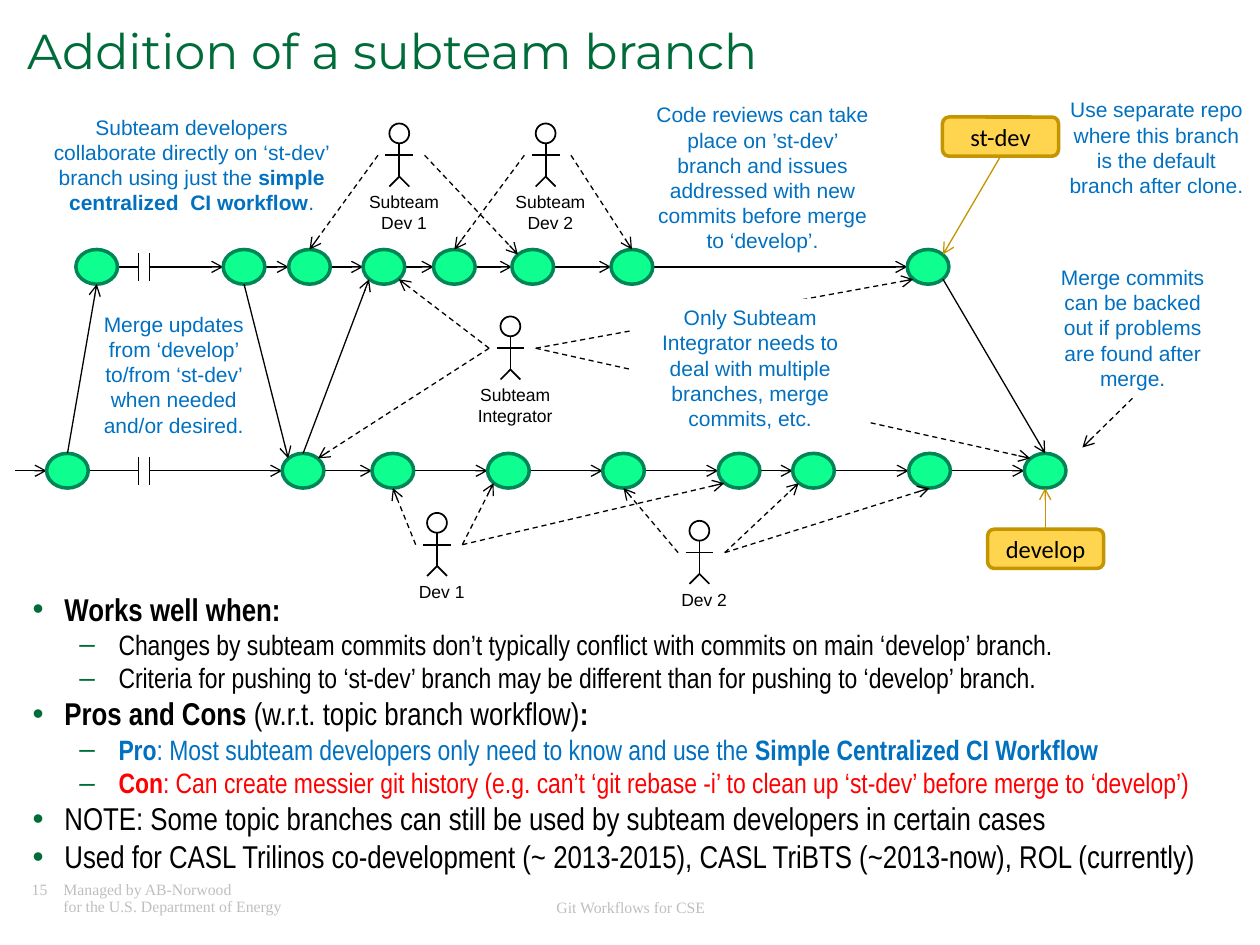
from dataclasses import dataclass
from itertools import pairwise

from lxml import etree
from pptx import Presentation
from pptx.dml.color import RGBColor
from pptx.enum.dml import MSO_LINE
from pptx.enum.shapes import MSO_CONNECTOR, MSO_SHAPE
from pptx.enum.text import MSO_ANCHOR, PP_ALIGN
from pptx.oxml.ns import qn
from pptx.util import Cm, Pt

STRAIGHT, DASH = MSO_CONNECTOR.STRAIGHT, MSO_LINE.DASH
OVAL, ROUNDED, RECTANGLE = MSO_SHAPE.OVAL, MSO_SHAPE.ROUNDED_RECTANGLE, MSO_SHAPE.RECTANGLE
LEFT, CENTER = PP_ALIGN.LEFT, PP_ALIGN.CENTER
TOP, MIDDLE = MSO_ANCHOR.TOP, MSO_ANCHOR.MIDDLE

COLORS = {
    "black": "000000", "white": "FFFFFF", "blue": "0070C0", "red": "FF0000",
    "green": "006C3A", "gray": "BFBFBF", "commit": "0EFF8F",
    "commit_edge": "008557", "label": "FFD54F", "label_edge": "C49500",
}
Point = tuple[float, float]
Box = tuple[float, float, float, float]


@dataclass(frozen=True)
class Run:
    text: str
    bold: bool = False
    color: str = "black"


@dataclass(frozen=True)
class Style:
    font: str
    size: float
    align: PP_ALIGN = CENTER


@dataclass(frozen=True)
class Commit:
    x: float
    y: float

    def at(self, horizontal: int, vertical: int) -> Point:
        """Connection point on the edge; -1, 0 or 1 on each axis."""
        diagonal = horizontal and vertical
        across, down = (0.3, 0.25) if diagonal else (0.42, 0.35)
        return self.x + horizontal * across, self.y + vertical * down


@dataclass(frozen=True)
class Person:
    x: float
    top: float
    names: tuple[str, ...]

    def hand(self, side: int) -> Point:
        return self.x + (0.51 if side > 0 else -0.43), self.top + 0.64


@dataclass(frozen=True)
class Bullet:
    level: int
    runs: tuple[Run, ...]


CALLOUT = Style("Arial", 12)
PERSON_NAME = Style("Arial", 10)
BRANCH = Style("Calibri", 14)
FOOTER = Style("Times New Roman", 9)
BULLET_STYLES = (Style("Arial Narrow", 18, LEFT), Style("Arial Narrow", 16, LEFT))
BULLET_MARKS = (("•", 0.64, -0.64), ("–", 1.73, -0.79))

ST_DEV = [Commit(x, 5.38) for x in (1.95, 4.92, 6.24, 7.74, 9.16, 10.74, 12.74, 18.71)]
DEVELOP = [Commit(x, 9.49) for x in
           (1.36, 6.11, 7.92, 10.25, 12.57, 14.9, 16.4, 18.74, 21.07)]
BREAK_X = (2.79, 3.02)

PEOPLE = (
    Person(8.05, 2.49, ("Subteam", "Dev 1")),
    Person(11, 2.49, ("Subteam", "Dev 2")),
    Person(10.29, 6.38, ("Subteam", "Integrator")),
    Person(8.81, 10.34, ("Dev 1",)),
    Person(14.1, 10.5, ("Dev 2",)),
)
SUB_1, SUB_2, INTEGRATOR, DEV_1, DEV_2 = PEOPLE

MERGES = (
    (DEVELOP[0].at(0, -1), ST_DEV[0].at(0, 1)),
    (ST_DEV[1].at(0, 1), DEVELOP[1].at(-1, -1)),
    (DEVELOP[1].at(0, -1), ST_DEV[3].at(-1, 1)),
    (ST_DEV[7].at(1, 1), DEVELOP[8].at(0, -1)),
)
PUSHES = (
    (SUB_1.hand(-1), ST_DEV[2].at(0, -1)),
    (SUB_1.hand(1), ST_DEV[5].at(-1, -1)),
    (SUB_2.hand(-1), ST_DEV[4].at(0, -1)),
    (SUB_2.hand(1), ST_DEV[6].at(0, -1)),
    (INTEGRATOR.hand(-1), ST_DEV[3].at(1, 1)),
    (INTEGRATOR.hand(-1), DEVELOP[1].at(1, -1)),
    (INTEGRATOR.hand(1), ST_DEV[7].at(-1, 1)),
    (INTEGRATOR.hand(1), DEVELOP[8].at(-1, -1)),
    (DEV_1.hand(-1), DEVELOP[2].at(0, 1)),
    (DEV_1.hand(1), DEVELOP[3].at(-1, 1)),
    (DEV_1.hand(1), DEVELOP[5].at(-1, 1)),
    (DEV_2.hand(-1), DEVELOP[4].at(0, 1)),
    (DEV_2.hand(1), DEVELOP[6].at(-1, 1)),
    (DEV_2.hand(1), DEVELOP[7].at(0, 1)),
    ((22.83, 8.03), (21.82, 9.02)),
)
INTEGRATOR_NOTE = "Only Subteam Integrator needs to deal with multiple branches, merge commits, etc."
CALLOUTS = (
    ((0.79, 2.18, 6.15, 2.31), (
        Run("Subteam developers collaborate directly on ‘st-dev’ branch using just the ", color="blue"),
        Run("simple centralized  CI workflow", True, "blue"), Run(".", color="blue"))),
    ((12.95, 1.93, 4.85, 3.33), (Run("Code reviews can take place on ’st-dev’ branch and issues "
     "addressed with new commits before merge to ‘develop’.", color="blue"),)),
    ((20.88, 5.21, 3.91, 2.82), (Run(
        "Merge commits can be backed out if problems are found after merge.", color="blue"),)),
    ((1.7, 6.15, 3.61, 2.82), (Run(
        "Merge updates from ‘develop’ to/from ‘st-dev’ when needed and/or desired.", color="blue"),)),
    ((21.23, 1.83, 4.17, 2.31), (Run(
        "Use separate repo where this branch is the default branch after clone.", color="blue"),)),
)
BULLETS = (
    Bullet(0, (Run("Works well when:", True),)),
    Bullet(1, (Run("Changes by subteam commits don’t typically conflict with commits on main ‘develop’ branch."),)),
    Bullet(1, (Run("Criteria for pushing to ‘st-dev’ branch may be different than for pushing to ‘develop’ branch."),)),
    Bullet(0, (Run("Pros and Cons", True), Run(" (w.r.t. topic branch workflow)"), Run(":", True))),
    Bullet(1, (Run("Pro", True, "blue"),
               Run(": Most subteam developers only need to know and use the ", color="blue"),
               Run("Simple Centralized CI Workflow", True, "blue"))),
    Bullet(1, (Run("Con", True, "red"), Run(": Can create messier git history (e.g. can’t ‘git rebase -i’ "
               "to clean up ‘st-dev’ before merge to ‘develop’)", color="red"))),
    Bullet(0, (Run("NOTE: Some topic branches can still be used by subteam developers in certain cases"),)),
    Bullet(0, (Run("Used for CASL Trilinos co-development (~ 2013-2015), CASL TriBTS (~2013-now), ROL (currently)"),)),
)


def rgb(name: str) -> RGBColor:
    return RGBColor.from_string(COLORS[name])


def write(paragraph, runs: tuple[Run, ...], style: Style) -> None:
    paragraph.alignment = style.align
    for item in runs:
        run = paragraph.add_run()
        run.text = item.text
        run.font.name, run.font.size, run.font.bold = style.font, Pt(style.size), item.bold
        run.font.color.rgb = rgb(item.color)


def add_text(slide, box: Box, lines: tuple, style: Style):
    frame = slide.shapes.add_textbox(*map(Cm, box)).text_frame
    frame.word_wrap = True
    for index, runs in enumerate(lines):
        write(frame.add_paragraph() if index else frame.paragraphs[0], runs, style)
    return frame


def add_shape(slide, kind, box: Box, fill: str = "", edge: str = "", width: float = 2):
    shape = slide.shapes.add_shape(kind, *map(Cm, box))
    shape.shadow.inherit = False
    for part, color in ((shape.fill, fill), (shape.line.fill, edge)):
        if color:
            part.solid()
            part.fore_color.rgb = rgb(color)
        else:
            part.background()
    if edge:
        shape.line.width = Pt(width)
    return shape


def add_line(slide, start: Point, end: Point, color: str = "black", width: float = 0.75,
             arrow: bool = False, dashed: bool = False) -> None:
    connector = slide.shapes.add_connector(STRAIGHT, *map(Cm, start + end))
    connector.line.color.rgb = rgb(color)
    connector.line.width = Pt(width)
    if dashed:
        connector.line.dash_style = DASH
    properties = connector._element.spPr
    if arrow:
        etree.SubElement(properties.find(qn("a:ln")), qn("a:tailEnd"), type="arrow")
    etree.SubElement(properties, qn("a:effectLst"))


def add_branch(slide, commits: list[Commit]) -> None:
    y = commits[0].y
    for x in BREAK_X:
        add_line(slide, (x, y - 0.28), (x, y + 0.28))
    add_line(slide, commits[0].at(1, 0), (BREAK_X[0], y))
    add_line(slide, (BREAK_X[1], y), commits[1].at(-1, 0), arrow=True)
    for before, after in pairwise(commits[1:]):
        add_line(slide, before.at(1, 0), after.at(-1, 0), arrow=True)
    for commit in commits:
        add_shape(slide, OVAL, (commit.x - 0.42, y - 0.35, 0.84, 0.7), "commit", "commit_edge")


def add_person(slide, person: Person) -> None:
    x, top = person.x, person.top
    add_shape(slide, OVAL, (x - 0.2, top, 0.4, 0.4), edge="black", width=1)
    hip = (x, top + 1.07)
    limbs = [((x, top + 0.4), hip), ((x - 0.28, top + 0.64), (x + 0.28, top + 0.64))]
    limbs += [(hip, (x + side * 0.2, top + 1.27)) for side in (-1, 1)]
    for start, end in limbs:
        add_line(slide, start, end, width=1)
    add_text(slide, (x - 2.1, top + 1.24, 4.39, 0.26 + 0.43 * len(person.names)),
             tuple((Run(name),) for name in person.names), PERSON_NAME)


def add_branch_label(slide, name: str, left: float, top: float, start: Point, end: Point) -> None:
    shape = add_shape(slide, ROUNDED, (left, top, 2.34, 0.79), "label", "label_edge")
    shape.text_frame.vertical_anchor = MIDDLE
    write(shape.text_frame.paragraphs[0], (Run(name),), BRANCH)
    add_line(slide, start, end, "label_edge", arrow=True)


def add_bullets(slide) -> None:
    frame = add_text(slide, (0.41, 11.76, 24.71, 6.07), (), BULLET_STYLES[0])
    for index, bullet in enumerate(BULLETS):
        paragraph = frame.add_paragraph() if index else frame.paragraphs[0]
        write(paragraph, bullet.runs, BULLET_STYLES[bullet.level])
        paragraph.level = bullet.level
        mark, margin, indent = BULLET_MARKS[bullet.level]
        properties = paragraph._p.get_or_add_pPr()
        properties.set("marL", str(Cm(margin)))
        properties.set("indent", str(Cm(indent)))
        color = etree.SubElement(properties, qn("a:buClr"))
        etree.SubElement(color, qn("a:srgbClr"), val=COLORS["green"])
        etree.SubElement(properties, qn("a:buFont"), typeface="Arial")
        etree.SubElement(properties, qn("a:buChar"), char=mark)


def add_footer(slide) -> None:
    frame = add_text(slide, (0.64, 17.78, 7.82, 0.84), ((Run("15\tManaged by AB-Norwood", color="gray"),),),
                     Style(FOOTER.font, FOOTER.size, LEFT))
    frame.margin_left = frame.margin_right = frame.margin_top = frame.margin_bottom = 0
    paragraph = frame.paragraphs[0]
    paragraph.add_line_break()
    write(paragraph, (Run("\tfor the U.S. Department of Energy", color="gray"),),
          Style(FOOTER.font, FOOTER.size, LEFT))
    paragraph.line_spacing = 0.9
    tabs = etree.SubElement(paragraph._p.get_or_add_pPr(), qn("a:tabLst"))
    etree.SubElement(tabs, qn("a:tab"), pos=str(Cm(0.64)), algn="l")
    add_text(slide, (8.69, 17.98, 8.05, 0.51), ((Run("Git Workflows for CSE", color="gray"),),), FOOTER)


def main() -> None:
    presentation = Presentation()
    presentation.slide_width, presentation.slide_height = Cm(25.4), Cm(19.05)
    slide = presentation.slides.add_slide(presentation.slide_layouts[6])

    # Title and footer
    title = add_text(slide, (0.3, 0.48, 24.56, 1.27),
                     ((Run("Addition of a subteam branch", color="green"),),), Style("Montserrat", 28, LEFT))
    title.paragraphs[0].line_spacing = 0.85
    add_footer(slide)

    # Branches, merges and pushes
    add_line(slide, (0.3, DEVELOP[0].y), DEVELOP[0].at(-1, 0), arrow=True)
    for commits in (ST_DEV, DEVELOP):
        add_branch(slide, commits)
    for arrows, dashed in ((MERGES, False), (PUSHES, True)):
        for start, end in arrows:
            add_line(slide, start, end, arrow=True, dashed=dashed)
    add_branch_label(slide, "st-dev", 19, 2.36, (20.17, 3.15), ST_DEV[7].at(1, -1))
    add_branch_label(slide, "develop", 19.91, 10.67, (21.07, 10.67), DEVELOP[8].at(0, 1))

    # People and callouts
    for person in PEOPLE:
        add_person(slide, person)
    note = add_shape(slide, RECTANGLE, (12.7, 6.02, 4.85, 2.82), "white").text_frame
    note.vertical_anchor = TOP
    write(note.paragraphs[0], (Run(INTEGRATOR_NOTE, color="blue"),), CALLOUT)
    for box, runs in CALLOUTS:
        add_text(slide, box, (runs,), CALLOUT)

    # Explanation
    add_bullets(slide)
    presentation.save("out.pptx")


if __name__ == "__main__":
    main()
